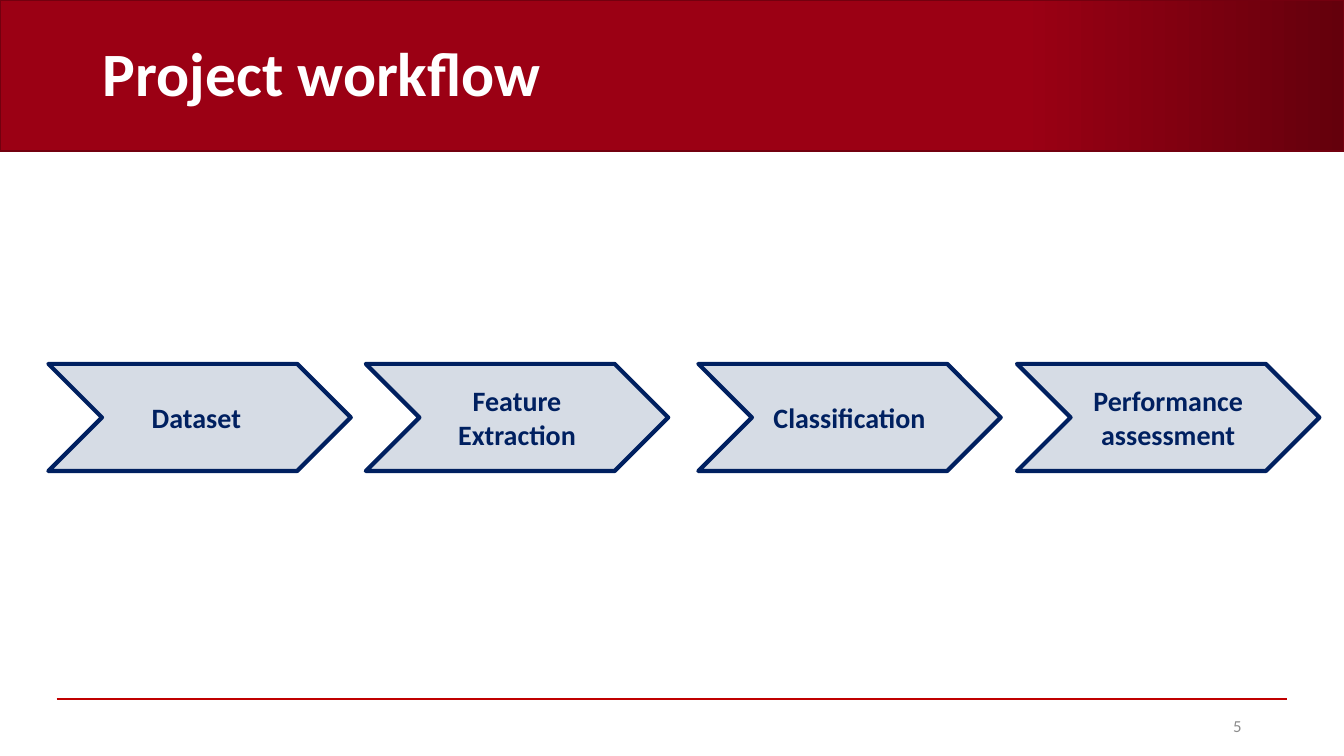
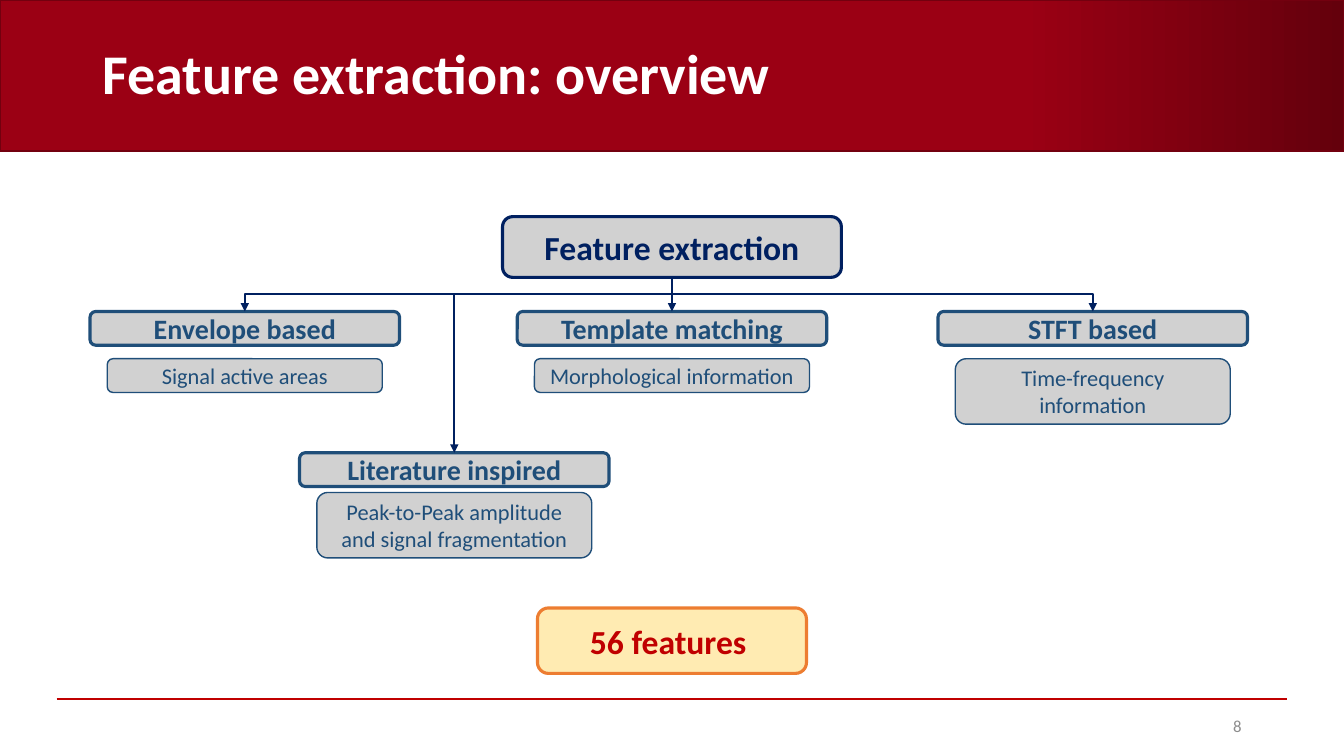
import lxml.etree
import pptx
import pptx.dml.color
import pptx.enum.dml
import pptx.enum.shapes
import pptx.enum.text
import pptx.oxml.ns
import pptx.util

Cm = pptx.util.Cm
Pt = pptx.util.Pt
qn = pptx.oxml.ns.qn
SHAPES = pptx.enum.shapes.MSO_SHAPE
CONNECTORS = pptx.enum.shapes.MSO_CONNECTOR
ALIGN = pptx.enum.text.PP_ALIGN

FONT = "Calibri"
COLORS = {
    "band": "9B0014", "band_end": "64000C", "band_line": "73000F",
    "rule": "C00000", "white": "FFFFFF", "number": "8C8C8C",
    "navy": "002060", "blue": "1F4E79", "step": "D6DCE5",
    "gray": "A5A5A5", "yellow": "FFD966", "orange": "ED7D31",
}
SLIDE_WIDTH, SLIDE_HEIGHT = 33.87, 19.05
TOP, BOTTOM = 0, 2  # connection sites of a rounded rectangle


def rgb(name):
    return pptx.dml.color.RGBColor.from_string(COLORS[name])


def write_text(shape, text, size, color, bold=False, align=ALIGN.CENTER):
    frame = shape.text_frame
    frame.word_wrap = True
    frame.auto_size = pptx.enum.text.MSO_AUTO_SIZE.NONE
    frame.vertical_anchor = pptx.enum.text.MSO_ANCHOR.MIDDLE
    paragraph = frame.paragraphs[0]
    paragraph.alignment = align
    run = paragraph.add_run()
    run.text = text
    run.font.name = FONT
    run.font.size = Pt(size)
    run.font.bold = bold
    run.font.color.rgb = rgb(color)
    return paragraph


def set_line(shape, color, width):
    shape.line.color.rgb = rgb(color)
    shape.line.width = Pt(width)


def add_box(slide, kind, box, fill, line, line_width, opacity=100):
    shape = slide.shapes.add_shape(kind, *map(Cm, box))
    shape.shadow.inherit = False
    shape.fill.solid()
    shape.fill.fore_color.rgb = rgb(fill)
    if opacity < 100:
        color = shape.element.spPr.find(qn("a:solidFill")).find(qn("a:srgbClr"))
        lxml.etree.SubElement(color, qn("a:alpha")).set("val", str(opacity * 1000))
    set_line(shape, line, line_width)
    return shape


def add_line(slide, kind, start, end, color, arrow=False):
    connector = slide.shapes.add_connector(kind, *start, *end)
    set_line(connector, color, 1.5)
    if arrow:
        line = connector.line._get_or_add_ln()
        lxml.etree.SubElement(line, qn("a:tailEnd")).set("type", "triangle")
    lxml.etree.SubElement(connector.element.spPr, qn("a:effectLst"))
    return connector


def decorate_layout(slide):
    """Put the title band and the bottom rule on the slide's layout."""
    band = add_box(slide, SHAPES.RECTANGLE, (0, 0, SLIDE_WIDTH, 3.81),
                   "band", "band_line", 1)
    band.fill.gradient()
    band.fill.gradient_angle = 0
    stops = ((0.76, "band"), (1, "band_end"))
    for stop, (position, color) in zip(band.fill.gradient_stops, stops):
        stop.position = position
        stop.color.rgb = rgb(color)
    rule = add_line(slide, CONNECTORS.STRAIGHT, (Cm(1.43), Cm(17.62)),
                    (Cm(32.43), Cm(17.62)), "rule")
    tree = slide.slide_layout.shapes.element
    for index, shape in enumerate((band, rule)):
        tree.insert(2 + index, shape.element)


def add_titled_slide(presentation, title, size, title_width, number):
    slide = presentation.slides.add_slide(presentation.slide_layouts[5])
    heading = slide.shapes.title
    heading.left, heading.top = Cm(2.34), Cm(0.58)
    heading.width, heading.height = Cm(title_width), Cm(2.7)
    paragraph = write_text(heading, title, size, "white", True, ALIGN.LEFT)
    paragraph.line_spacing = 0.9
    number_box = slide.shapes.add_textbox(Cm(23.92), Cm(17.78), Cm(7.62), Cm(1.01))
    write_text(number_box, number, 12, "number", align=ALIGN.RIGHT)
    return slide


def add_workflow(slide, top, steps):
    """Row of chevrons, each given by its left edge and its label."""
    for left, label in steps:
        chevron = add_box(slide, SHAPES.CHEVRON, (left, top, 7.62, 2.7),
                          "step", "navy", 3)
        write_text(chevron, label, 20, "navy", True)


def add_rounded(slide, center, top, width, height, text, size, color,
                line_width, bold=True, fill="gray", line=None):
    box = (center - width / 2, top, width, height)
    shape = add_box(slide, SHAPES.ROUNDED_RECTANGLE, box, fill,
                    line or color, line_width, opacity=50)
    write_text(shape, text, size, color, bold)
    return shape


def connect_down(slide, parent, child, turn):
    """Arrow from parent to child; turn is the height of its bend."""
    start = (parent.left + parent.width // 2, parent.top + parent.height)
    end = (child.left + child.width // 2, child.top)
    span, drop = abs(end[0] - start[0]), end[1] - start[1]
    straight = span < Cm(0.1)
    kind = CONNECTORS.STRAIGHT if straight else CONNECTORS.ELBOW
    connector = add_line(slide, kind, start, end, "navy", arrow=True)
    connector.begin_connect(parent, BOTTOM)
    connector.end_connect(child, TOP)
    if straight:
        return
    # An elbow leaves sideways, so it is turned to leave downwards
    connector.left = (start[0] + end[0] - drop) // 2
    connector.top = (start[1] + end[1] - span) // 2
    connector.width, connector.height = drop, span
    to_right = end[0] > start[0]
    transform = connector.element.spPr.find(qn("a:xfrm"))
    transform.set("rot", str((270 if to_right else 90) * 60000))
    transform.set("flipH", "1" if to_right else "0")
    geometry = connector.element.spPr.find(qn("a:prstGeom"))
    adjustments = geometry.find(qn("a:avLst"))
    if adjustments is None:
        adjustments = lxml.etree.SubElement(geometry, qn("a:avLst"))
    guide = lxml.etree.SubElement(adjustments, qn("a:gd"))
    guide.set("name", "adj1")
    guide.set("fmla", f"val {round(turn / drop * 100000)}")


def add_feature_tree(slide, center, top, branches):
    """Root box with branches: centre, drop, label, detail, gap, detail height."""
    root = add_rounded(slide, center, top, 8.54, 1.53,
                       "Feature extraction", 24, "navy", 2.25)
    for branch_center, drop, label, detail, gap, detail_height in branches:
        branch_top = top + drop
        branch = add_rounded(slide, branch_center, branch_top, 7.8, 0.85,
                             label, 20, "blue", 2.25)
        add_rounded(slide, branch_center, branch_top + 0.85 + gap, 6.93,
                    detail_height, detail, 16, "blue", 1, bold=False)
        connect_down(slide, root, branch, Cm(0.43))


def main():
    presentation = pptx.Presentation()
    presentation.slide_width = Cm(SLIDE_WIDTH)
    presentation.slide_height = Cm(SLIDE_HEIGHT)

    # Workflow
    slide = add_titled_slide(presentation, "Project workflow", 44, 24.92, "5")
    decorate_layout(slide)
    add_workflow(slide, 9.17, (
        (1.22, "Dataset "),
        (9.22, "Feature Extraction"),
        (17.6, "Classification"),
        (25.63, "Performance assessment"),
    ))

    # Feature overview
    slide = add_titled_slide(presentation, "Feature extraction: overview",
                             40, 27.51, "8")
    middle = SLIDE_WIDTH / 2
    add_feature_tree(slide, middle, 5.46, (
        (6.17, 2.39, "Envelope based", "Signal active areas", 0.34, 0.85),
        (middle, 2.39, "Template matching", "Morphological information", 0.34, 0.85),
        (27.54, 2.39, "STFT based", "Time-frequency information", 0.34, 1.65),
        (11.45, 5.95, "Literature inspired",
         "Peak-to-Peak amplitude and signal fragmentation", 0.15, 1.65),
    ))
    add_rounded(slide, middle, 15.32, 6.78, 1.65, "56 features ", 24, "rule",
                2.25, fill="yellow", line="orange")

    presentation.save("out.pptx")


if __name__ == "__main__":
    main()
